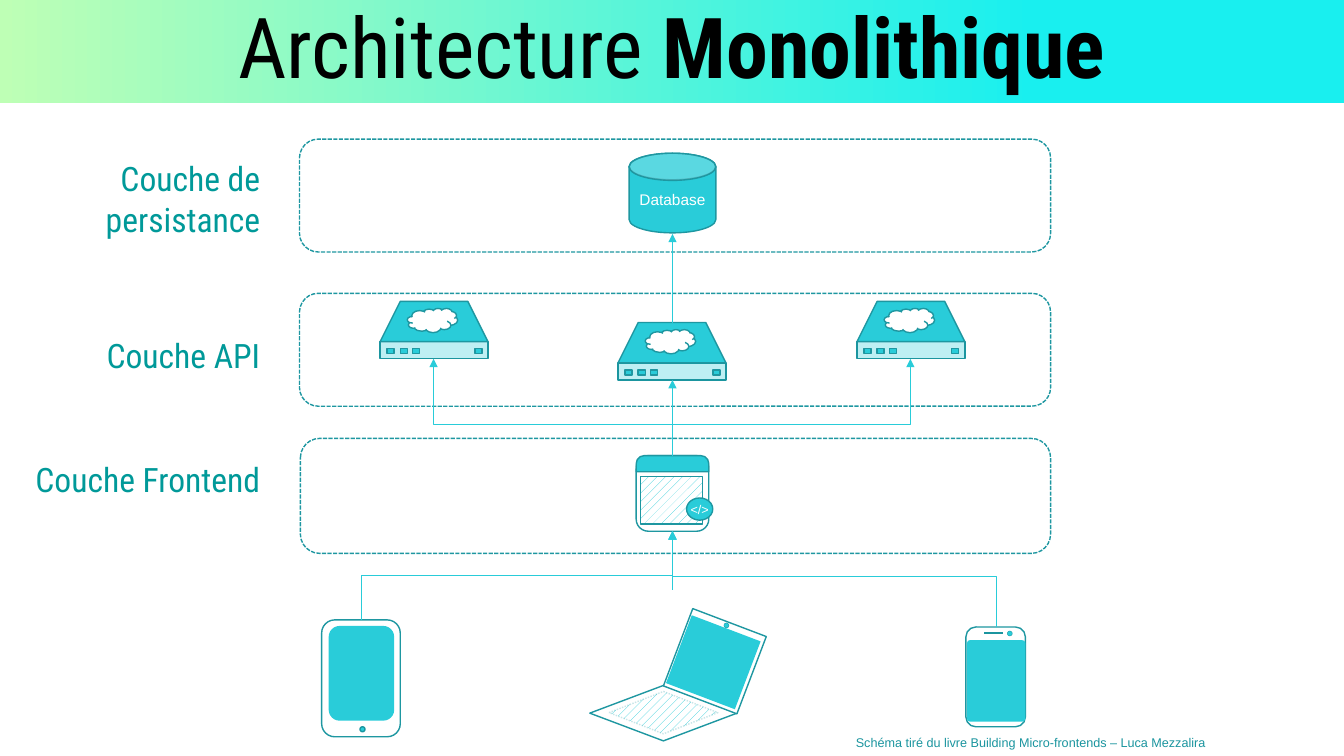
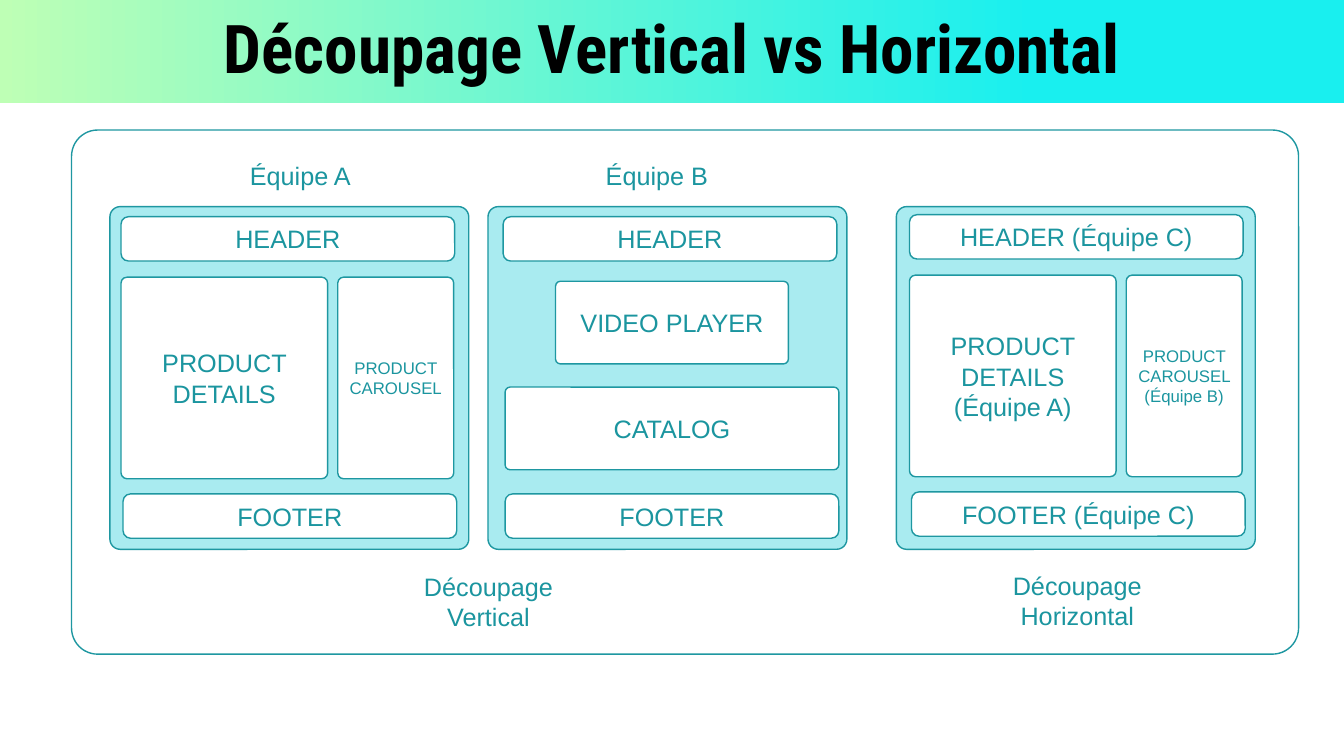
"""Build two slides: a monolithic architecture and vertical versus horizontal splits."""
import lxml.etree
import pptx
import pptx.dml.color
import pptx.enum.dml
import pptx.enum.shapes
import pptx.enum.text
import pptx.oxml.ns
import pptx.util

Inches = pptx.util.Inches
Pt = pptx.util.Pt
SHAPE = pptx.enum.shapes.MSO_SHAPE
CONNECTOR = pptx.enum.shapes.MSO_CONNECTOR
DASH = pptx.enum.dml.MSO_LINE
ALIGN = pptx.enum.text.PP_ALIGN
ANCHOR = pptx.enum.text.MSO_ANCHOR
qn = pptx.oxml.ns.qn

SLIDE_WIDTH, SLIDE_HEIGHT, BAND_HEIGHT = 13.33, 7.5, 1.02
BLACK, WHITE = "000000", "FFFFFF"
CYAN, PALE_CYAN, OUTLINE, TEAL = "29CCD9", "A9EBF0", "1E97A1", "1B959F"
LAYER_TEAL, BAND_GREEN, BAND_CYAN = "009999", "BEFFB5", "19EFEF"
HEADING_FONT, BODY_FONT = "Roboto Condensed", "Arial"
MIDDLE = 6.67


def rgb(value):
    """Turn a hex string into a colour."""
    return pptx.dml.color.RGBColor.from_string(value)


def apply_format(target, values):
    """Set each attribute named in a dict of format values."""
    for name, value in values.items():
        setattr(target, name, value)


def add_alpha(element, percent):
    """Make the solid colour inside an element partly transparent."""
    color = next(element.iter(qn("a:srgbClr")))
    lxml.etree.SubElement(color, qn("a:alpha")).set("val", str(percent * 1000))


def write_text(shape, runs, size, color, font=BODY_FONT, align=ALIGN.CENTER,
               anchor=ANCHOR.MIDDLE, wrap=True, spacing=None):
    """Write one paragraph of (text, bold) runs into a shape."""
    frame = shape.text_frame
    apply_format(frame, {"word_wrap": wrap, "vertical_anchor": anchor})
    paragraph = frame.paragraphs[0]
    apply_format(paragraph, {"alignment": align, "line_spacing": spacing})
    for text, bold in runs:
        run = paragraph.add_run()
        run.text = text
        apply_format(run.font, {"name": font, "size": Pt(size), "bold": bold})
        run.font.color.rgb = rgb(color)


def add_label(shapes, text, box, size=18, color=TEAL, **options):
    """Add a text box with one top-anchored paragraph."""
    label = shapes.add_textbox(*map(Inches, box))
    write_text(label, [(text, False)], size, color, anchor=ANCHOR.TOP, **options)


def add_figure(shapes, kind, box, fill=WHITE, line=OUTLINE, width=1, dash=None,
               adjustments=(), rotation=0, alpha=None, hatched=False):
    """Add a preset shape with its fill and outline."""
    shape = shapes.add_shape(kind, *map(Inches, box))
    shape.shadow.inherit = False
    shape.rotation = rotation
    for index, value in enumerate(adjustments):
        shape.adjustments[index] = value
    if hatched:
        shape.fill.patterned()
        shape.fill.pattern = pptx.enum.dml.MSO_PATTERN.PERCENT_20
        shape.fill.fore_color.rgb = rgb(CYAN)
        shape.fill.back_color.rgb = rgb(WHITE)
    elif fill:
        shape.fill.solid()
        shape.fill.fore_color.rgb = rgb(fill)
        if alpha:
            add_alpha(shape._element.spPr.find(qn("a:solidFill")), alpha)
    else:
        shape.fill.background()
    if line:
        shape.line.color.rgb = rgb(line)
        apply_format(shape.line, {"width": Pt(width), "dash_style": dash})
    else:
        shape.line.fill.background()
    return shape


def add_line(shapes, kind, start, end, color=CYAN, width=0.5, arrow=True):
    """Add a connector, with an arrowhead at its end if wanted."""
    connector = shapes.add_connector(kind, *map(Inches, (*start, *end)))
    connector.line.color.rgb = rgb(color)
    connector.line.width = Pt(width)
    properties = connector._element.spPr
    if arrow:
        head = lxml.etree.SubElement(properties.find(qn("a:ln")), qn("a:tailEnd"))
        head.set("type", "triangle")
    lxml.etree.SubElement(properties, qn("a:effectLst"))
    return connector


def add_rising_elbow(shapes, start, end, bend):
    """Add an elbow arrow that leaves upwards and turns at a share of its height."""
    center_x, center_y = (start[0] + end[0]) / 2, (start[1] + end[1]) / 2
    half_rise, half_run = (start[1] - end[1]) / 2, (end[0] - start[0]) / 2
    connector = add_line(shapes, CONNECTOR.ELBOW,
                         (center_x - half_rise, center_y - half_run),
                         (center_x + half_rise, center_y + half_run))
    properties = connector._element.spPr
    properties.find(qn("a:xfrm")).set("rot", str(270 * 60000))
    guides = properties.find(qn("a:prstGeom")).get_or_add_avLst()
    guide = lxml.etree.SubElement(guides, qn("a:gd"))
    guide.set("name", "adj1")
    guide.set("fmla", f"val {round(bend * 100000)}")


def add_titled_slide(presentation, runs, size):
    """Add a blank slide with the gradient band and its title."""
    slide = presentation.slides.add_slide(presentation.slide_layouts[6])
    band = add_figure(slide.shapes, SHAPE.RECTANGLE,
                      (0, 0, SLIDE_WIDTH, BAND_HEIGHT), line=None)
    band.fill.gradient()
    band.fill.gradient_angle = 0
    stops = ((0, BAND_GREEN), (0.77, BAND_CYAN))
    for stop, (position, color) in zip(band.fill.gradient_stops, stops):
        stop.position = position
        stop.color.rgb = rgb(color)
    title = slide.shapes.add_textbox(0, 0, Inches(SLIDE_WIDTH), Inches(BAND_HEIGHT))
    write_text(title, runs, size, BLACK, HEADING_FONT, spacing=0.9)
    return slide.shapes


def add_layer(shapes, text, box, label_top):
    """Add a dashed layer frame and the name to its left."""
    add_figure(shapes, SHAPE.ROUNDED_RECTANGLE, box, dash=DASH.SQUARE_DOT)
    add_label(shapes, text, (0.18, label_top, 2.5, 0.91), 24, LAYER_TEAL,
              font=HEADING_FONT, align=ALIGN.RIGHT)


def add_camera(shapes, left, top, width=0.25):
    """Add the small round dot of a device."""
    add_figure(shapes, SHAPE.OVAL, (left, top, 0.05, 0.05), CYAN, TEAL, width)


def add_laptop(shapes):
    """Draw the opened laptop."""
    add_figure(shapes, SHAPE.FLOWCHART_DECISION, (5.85, 6.8, 1.46, 0.55))
    add_figure(shapes, SHAPE.TRAPEZOID, (6.7, 6.15, 0.78, 0.82),
               adjustments=[0], rotation=20.8)
    keyboard = add_figure(shapes, SHAPE.FLOWCHART_DECISION, (6.04, 6.86, 1.08, 0.42),
                          line=TEAL, dash=DASH.ROUND_DOT, hatched=True)
    add_alpha(keyboard._element.spPr.find(qn("a:ln")), 23)
    add_figure(shapes, SHAPE.TRAPEZOID, (6.71, 6.21, 0.73, 0.72), CYAN, None,
               adjustments=[0], rotation=20.8)
    add_camera(shapes, 7.18, 6.18)


def add_phone(shapes):
    """Draw the phone."""
    add_figure(shapes, SHAPE.ROUNDED_RECTANGLE, (9.58, 6.22, 0.59, 0.99))
    add_figure(shapes, SHAPE.ROUNDED_RECTANGLE, (9.59, 6.35, 0.58, 0.81), CYAN, None,
               adjustments=[0.06])
    add_camera(shapes, 9.99, 6.26)
    add_line(shapes, CONNECTOR.STRAIGHT, (9.76, 6.28), (9.95, 6.28), TEAL, 1, False)


def add_tablet(shapes):
    """Draw the tablet."""
    add_figure(shapes, SHAPE.ROUNDED_RECTANGLE, (3.19, 6.15, 0.78, 1.16))
    add_camera(shapes, 3.57, 7.21, 1)
    add_figure(shapes, SHAPE.ROUNDED_RECTANGLE, (3.26, 6.21, 0.65, 0.94), CYAN, None)


def add_browser(shapes):
    """Draw the frontend window with its code badge."""
    add_figure(shapes, SHAPE.ROUNDED_RECTANGLE, (6.31, 4.52, 0.72, 0.75), None)
    add_figure(shapes, SHAPE.ROUND_2_SAME_RECTANGLE, (6.31, 4.52, 0.72, 0.16), CYAN,
               adjustments=[0.5, 0])
    add_figure(shapes, SHAPE.RECTANGLE, (6.35, 4.73, 0.62, 0.47), hatched=True)
    badge = add_figure(shapes, SHAPE.OVAL, (6.81, 4.94, 0.26, 0.22), CYAN)
    write_text(badge, [("</>", False)], 9, WHITE, wrap=False)


def add_database(shapes):
    """Draw the database cylinder."""
    disk = add_figure(shapes, SHAPE.FLOWCHART_MAGNETIC_DISK, (6.24, 1.52, 0.86, 0.79), CYAN)
    write_text(disk, [("Database", False)], 11, WHITE, wrap=False)
    add_figure(shapes, SHAPE.OVAL, (6.24, 1.52, 0.86, 0.27), PALE_CYAN, alpha=39)


def add_server(shapes, left, top):
    """Draw one API server."""
    add_figure(shapes, SHAPE.RECTANGLE, (left, top + 0.4, 1.07, 0.17), CYAN, TEAL, alpha=30)
    add_figure(shapes, SHAPE.TRAPEZOID, (left, top, 1.07, 0.4), CYAN, adjustments=[0.5])
    for offset in (0.07, 0.2, 0.32, 0.94):
        add_figure(shapes, SHAPE.RECTANGLE, (left + offset, top + 0.47, 0.07, 0.05), CYAN)
    add_figure(shapes, SHAPE.CLOUD, (left + 0.27, top + 0.07, 0.5, 0.24))


def add_block(shapes, text, box, size=18, rounding=0.17):
    """Add a white rounded block with centred text."""
    block = add_figure(shapes, SHAPE.ROUNDED_RECTANGLE, box, adjustments=[rounding])
    write_text(block, [(text, False)], size, TEAL)


def add_page(shapes, left, shift_x, shift_y, team, blocks):
    """Add a page mock-up with a header, a footer and its own blocks."""
    top = 2.05
    add_figure(shapes, SHAPE.ROUNDED_RECTANGLE, (left, top, 3.56, 3.4), PALE_CYAN,
               adjustments=[0.03])
    frame_blocks = [("HEADER" + team, (0.11, 0.1, 3.31, 0.44)),
                    ("FOOTER" + team, (0.13, 2.85, 3.31, 0.44))]
    for text, (x, y, width, height), *style in frame_blocks + blocks:
        box = (left + shift_x + x, top + shift_y + y, width, height)
        add_block(shapes, text, box, *style)


def product_blocks(details_team="", carousel_team=""):
    """List the blocks of a product page."""
    return [("PRODUCT DETAILS" + details_team, (0.11, 0.7, 2.05, 2), 18, 0.03),
            ("PRODUCT CAROUSEL" + carousel_team, (2.26, 0.7, 1.15, 2), 12, 0.05)]


def build_architecture(presentation):
    """Build the slide on the monolithic architecture."""
    shapes = add_titled_slide(
        presentation, [("Architecture", False), (" Monolithique", True)], 60)
    for text, box, label_top in (
            ("Couche de persistance", (2.97, 1.38, 7.45, 1.12), 1.52),
            ("Couche API", (2.97, 2.91, 7.45, 1.12), 3.27),
            ("Couche Frontend", (2.98, 4.35, 7.44, 1.14), 4.5)):
        add_layer(shapes, text, box, label_top)
    for draw in (add_laptop, add_phone, add_browser, add_database, add_tablet):
        draw(shapes.add_group_shape().shapes)
    for left, top in ((6.13, 3.2), (3.77, 2.99), (8.5, 2.99)):
        add_server(shapes.add_group_shape().shapes, left, top)
    for start, end in ((5.85, 5.27), (4.52, 3.77), (3.2, 2.32)):
        add_line(shapes, CONNECTOR.STRAIGHT, (MIDDLE, start), (MIDDLE, end))
    for start, end, bend in (
            ((3.58, 6.15), (MIDDLE, 5.27), 0.5),
            ((9.88, 6.22), (MIDDLE, 5.27), 0.53),
            ((MIDDLE, 4.52), (4.3, 3.56), 0.32),
            ((MIDDLE, 4.52), (9.03, 3.56), 0.32)):
        add_rising_elbow(shapes, start, end, bend)
    add_label(shapes, "Schéma tiré du livre Building Micro-frontends – Luca Mezzalira",
              (8.39, 7.24, 4.83, 0.25), 9, align=ALIGN.LEFT)


def build_splits(presentation):
    """Build the slide that compares vertical and horizontal splits."""
    shapes = add_titled_slide(
        presentation, [("Découpage Vertical vs Horizontal", True)], 48)
    add_figure(shapes, SHAPE.ROUNDED_RECTANGLE, (0.71, 1.29, 12.17, 5.2), adjustments=[0.05])
    video_blocks = [("VIDEO PLAYER", (0.63, 0.74, 2.31, 0.82), 18, 0.06),
                    ("CATALOG", (0.13, 1.79, 3.31, 0.82), 18, 0.06)]
    add_page(shapes, 1.09, 0, 0, "", product_blocks())
    add_page(shapes, 4.84, 0.04, 0, "", video_blocks)
    add_page(shapes, 8.89, 0.02, -0.02, " (Équipe C)",
             product_blocks(" (Équipe A)", " (Équipe B)"))
    for text, left in (("Équipe A", 2.38), ("Équipe B", 5.91)):
        add_label(shapes, text, (left, 1.54, 1.37, 0.4), align=ALIGN.LEFT)
    for text, left, top in (("Découpage Vertical", 3.86, 5.62),
                            ("Découpage Horizontal", 9.7, 5.61)):
        add_label(shapes, text, (left, top, 1.97, 0.71))


def main():
    """Build and save the presentation."""
    presentation = pptx.Presentation()
    presentation.slide_width = Inches(SLIDE_WIDTH)
    presentation.slide_height = Inches(SLIDE_HEIGHT)
    build_architecture(presentation)
    build_splits(presentation)
    presentation.save("out.pptx")


if __name__ == "__main__":
    main()
